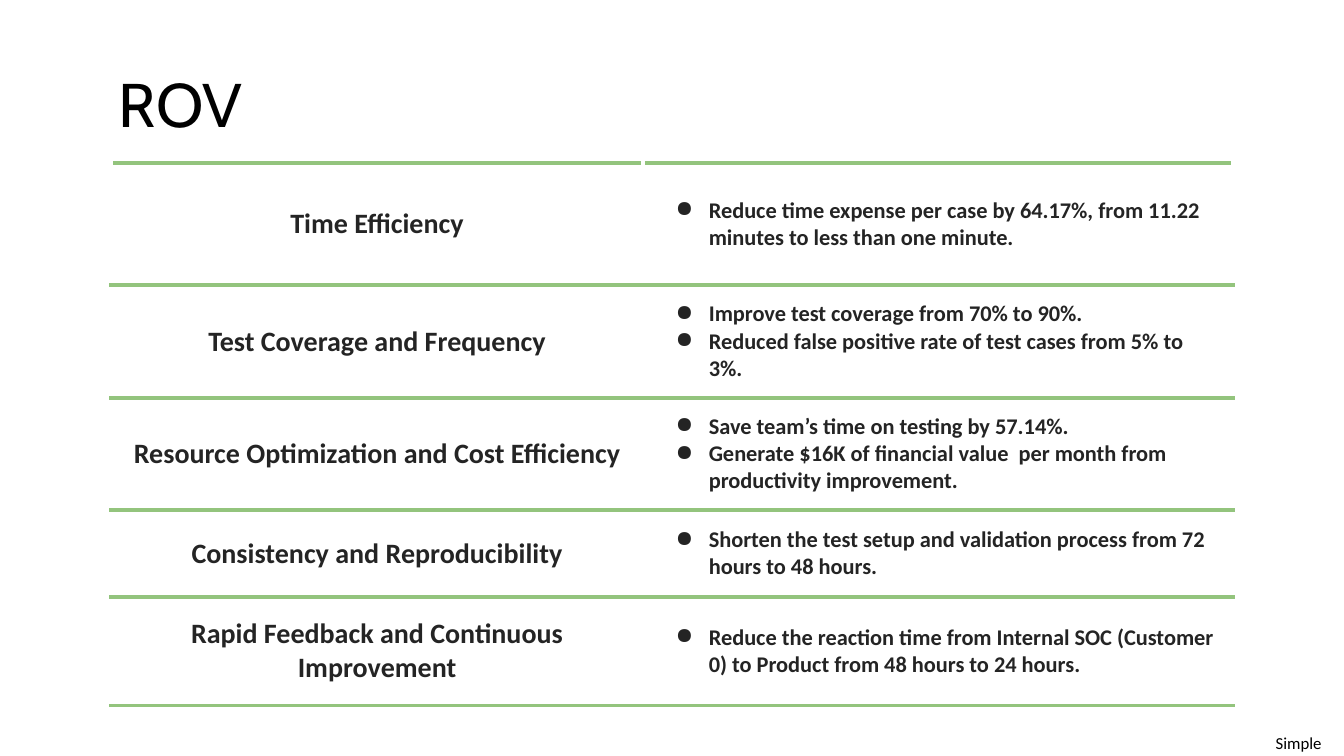
from lxml.etree import SubElement
from pptx import Presentation
from pptx.dml.color import RGBColor
from pptx.enum.text import MSO_ANCHOR as Anchor, MSO_AUTO_SIZE as AutoSize, PP_ALIGN as Align
from pptx.oxml import parse_xml
from pptx.oxml.ns import qn
from pptx.util import Inches, Pt

COLORS = {"title": "000000", "text": "242424", "rule": "93C47D", "side": "FFFFFF"}
DRAWING_NS = "http://schemas.openxmlformats.org/drawingml/2006/main"

COLUMN_WIDTHS = [5.28, 5.85]
# Row height, benefit, results
BENEFITS = [
    (1.21, "Time Efficiency",
     ["Reduce time expense per case by 64.17%, from 11.22 minutes to less than one minute."]),
    (1.1, "Test Coverage and Frequency",
     ["Improve test coverage from 70% to 90%.",
      "Reduced false positive rate of test cases from 5% to 3%."]),
    (1.1, "Resource Optimization and Cost Efficiency",
     ["Save team’s time on testing by 57.14%.",
      "Generate $16K of financial value  per month from productivity improvement."]),
    (0.86, "Consistency and Reproducibility",
     ["Shorten the test setup and validation process from 72 hours to 48 hours."]),
    (1.08, "Rapid Feedback and Continuous Improvement",
     ["Reduce the reaction time from Internal SOC (Customer 0) to Product "
      "from 48 hours to 24 hours."]),
]


def add_run(paragraph, text, size, color, font="Calibri", bold=False):
    run = paragraph.add_run()
    run.text = text
    run.font.size = Pt(size)
    run.font.name = font
    run.font.bold = bold
    run.font.color.rgb = RGBColor.from_string(COLORS[color])


def set_margins(holder, inset):
    holder.margin_left = holder.margin_right = Inches(inset)
    holder.margin_top = holder.margin_bottom = Inches(inset)


def set_bullet(paragraph):
    props = paragraph._p.get_or_add_pPr()
    props.set("marL", str(Inches(0.5)))
    props.set("indent", str(Inches(-0.33)))
    bullet_color = SubElement(props, qn("a:buClr"))
    SubElement(bullet_color, qn("a:srgbClr"), val=COLORS["text"])
    SubElement(props, qn("a:buChar"), char="●")


def set_borders(cell):
    props = cell._tc.get_or_add_tcPr()
    sides = [("lnL", "side"), ("lnR", "side"), ("lnT", "rule"), ("lnB", "rule")]
    for position, (side, color) in enumerate(sides):
        props.insert(position, parse_xml(
            f'<a:{side} xmlns:a="{DRAWING_NS}" w="{Pt(3)}"><a:solidFill>'
            f'<a:srgbClr val="{COLORS[color]}"/></a:solidFill></a:{side}>'))


def fill_cell(cell, lines, size, bulleted):
    cell.fill.background()
    cell.vertical_anchor = Anchor.MIDDLE
    set_margins(cell, 0.15)
    set_borders(cell)
    frame = cell.text_frame
    for index, line in enumerate(lines):
        paragraph = frame.add_paragraph() if index else frame.paragraphs[0]
        paragraph.alignment = Align.LEFT if bulleted else Align.CENTER
        if bulleted:
            set_bullet(paragraph)
        add_run(paragraph, line, size, "text", bold=True)


def build_title(slide, left, top, width, height):
    title = slide.shapes.title
    title.left, title.top = Inches(left), Inches(top)
    title.width, title.height = Inches(width), Inches(height)
    frame = title.text_frame
    frame.auto_size = AutoSize.NONE
    frame.vertical_anchor = Anchor.MIDDLE
    set_margins(frame, 0.13)
    heading = frame.paragraphs[0]
    heading.alignment = Align.LEFT
    heading.line_spacing = 0.9
    add_run(heading, "ROV", 44, "title", font="Cabin")


def build_benefits(slide, left, top):
    height = sum(row_height for row_height, _, _ in BENEFITS)
    benefits = slide.shapes.add_table(
        len(BENEFITS), len(COLUMN_WIDTHS), Inches(left), Inches(top),
        Inches(sum(COLUMN_WIDTHS)), Inches(height)).table
    benefits.first_row = benefits.horz_banding = False
    for column, width in zip(benefits.columns, COLUMN_WIDTHS):
        column.width = Inches(width)
    for row, (row_height, benefit, results) in zip(benefits.rows, BENEFITS):
        row.height = Inches(row_height)
        fill_cell(row.cells[0], [benefit], 20, bulleted=False)
        fill_cell(row.cells[1], results, 16, bulleted=True)


def build_corner_label(slide, left, top, width, height):
    label = slide.shapes.add_textbox(Inches(left), Inches(top), Inches(width), Inches(height))
    frame = label.text_frame
    frame.word_wrap = True
    set_margins(frame, 0.13)
    frame.paragraphs[0].alignment = Align.CENTER
    add_run(frame.paragraphs[0], "Simple", 12, "title")


def main():
    deck = Presentation()
    deck.slide_width, deck.slide_height = Inches(13.33), Inches(7.5)
    slide = deck.slides.add_slide(deck.slide_layouts[5])
    build_title(slide, 1.05, 0.65, 4.74, 0.84)
    build_benefits(slide, 1.1, 1.62)
    build_corner_label(slide, 12.43, 7.17, 0.9, 0.33)
    deck.save("out.pptx")


if __name__ == "__main__":
    main()
